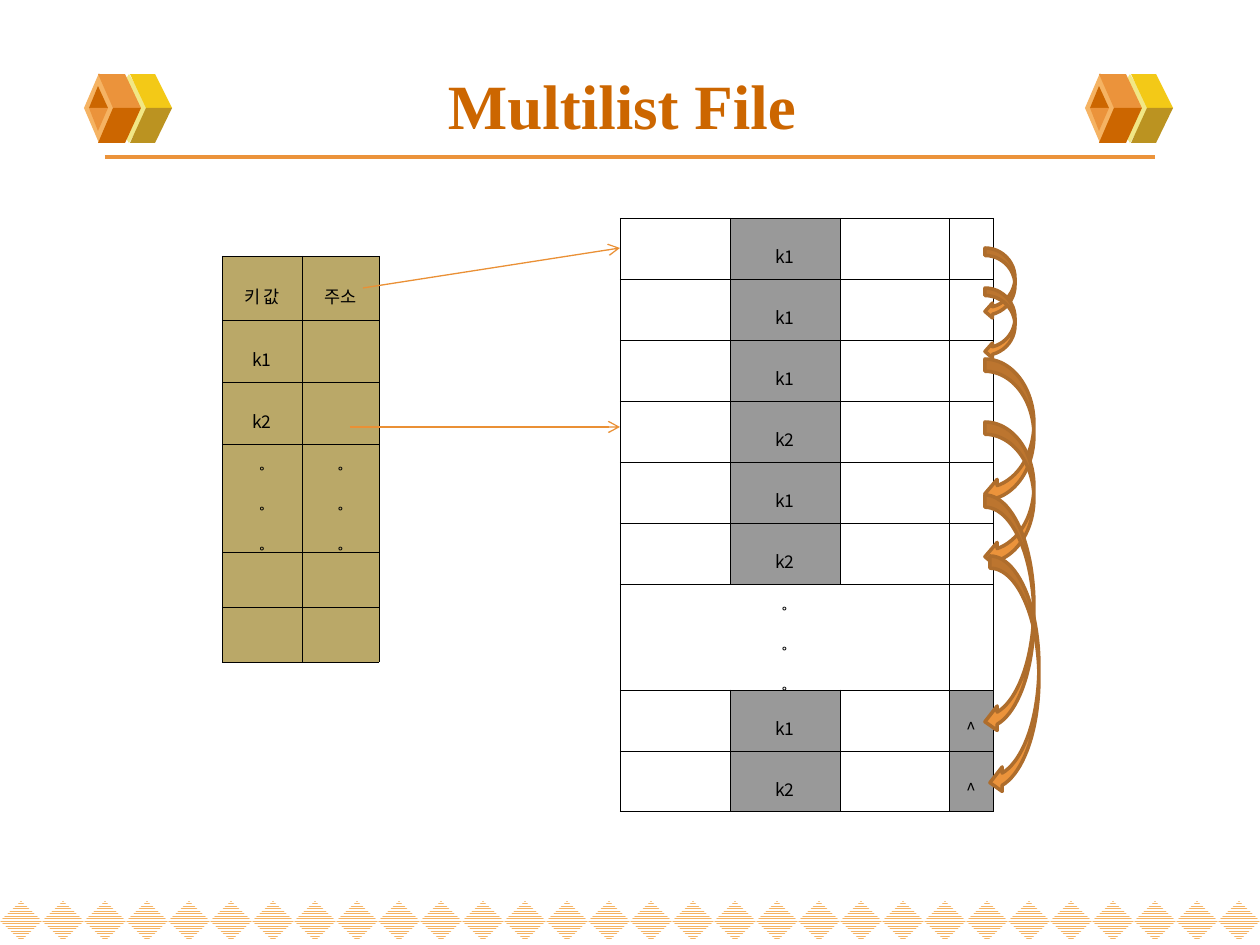
from lxml.etree import SubElement
from pptx import Presentation
from pptx.dml.color import RGBColor
from pptx.enum.dml import MSO_PATTERN
from pptx.enum.shapes import MSO_CONNECTOR, MSO_SHAPE
from pptx.enum.text import MSO_ANCHOR, PP_ALIGN
from pptx.oxml.ns import qn
from pptx.util import Pt

EMU_PER_PX = 914400 / 126
SLIDE_W, SLIDE_H = 1260, 945

BLACK = RGBColor(0x00, 0x00, 0x00)
WHITE = RGBColor(0xFF, 0xFF, 0xFF)
GRAY = RGBColor(0x99, 0x99, 0x99)
KHAKI = RGBColor(0xBA, 0xA8, 0x68)
ORANGE = RGBColor(0xEB, 0x93, 0x3B)
LINK_ORANGE = RGBColor(0xEA, 0x90, 0x35)
DARK_ORANGE = RGBColor(0xCC, 0x66, 0x00)
LIGHT_ORANGE = RGBColor(0xF5, 0xB3, 0x63)
BROWN = RGBColor(0xAE, 0x6D, 0x2C)
PALE_YELLOW = RGBColor(0xF1, 0xE7, 0x85)
YELLOW = RGBColor(0xF3, 0xC9, 0x17)
OLIVE = RGBColor(0xBB, 0x93, 0x21)

TITLE_FONT = "Times New Roman"
BODY_FONT = "Noto Sans CJK KR"
DOTS = "˚\n˚\n˚"


def px(length):
    return round(length * EMU_PER_PX)


def write_text(frame, text, *, font, size, color, bold=False, spacing=None):
    """Write one centred paragraph for each line of text."""
    for index, line in enumerate(text.split("\n")):
        paragraph = frame.add_paragraph() if index else frame.paragraphs[0]
        paragraph.alignment = PP_ALIGN.CENTER
        paragraph.line_spacing = spacing
        run = paragraph.add_run()
        run.text = line
        run.font.name = font
        run.font.size = Pt(size)
        run.font.bold = bold
        run.font.color.rgb = color
        SubElement(run.font._element, qn("a:ea"), typeface=font)


def add_preset(slide, kind, left, top, width, height, fill=None):
    shape = slide.shapes.add_shape(kind, px(left), px(top), px(width), px(height))
    shape.shadow.inherit = False
    shape.line.fill.background()
    if fill is not None:
        shape.fill.solid()
        shape.fill.fore_color.rgb = fill
    return shape


def add_polygon(slide, left, top, points, fill):
    corners = [(left + x, top + y) for x, y in points]
    builder = slide.shapes.build_freeform(*corners[0], scale=EMU_PER_PX)
    builder.add_line_segments(corners[1:], close=True)
    face = builder.convert_to_shape()
    face.shadow.inherit = False
    face.fill.solid()
    face.fill.fore_color.rgb = fill
    face.line.fill.background()


def add_line(slide, start, end, color, width, arrow=False):
    ends = [px(value) for value in (*start, *end)]
    line = slide.shapes.add_connector(MSO_CONNECTOR.STRAIGHT, *ends)
    line.line.color.rgb = color
    line.line.width = Pt(width)
    if arrow:
        SubElement(line.line._get_or_add_ln(), qn("a:tailEnd"), type="arrow")
    SubElement(line._element.spPr, qn("a:effectLst"))


def add_cube(slide, left, top):
    add_preset(slide, MSO_SHAPE.DIAMOND, left + 24, top + 1, 42, 69, PALE_YELLOW)
    add_preset(slide, MSO_SHAPE.DIAMOND, left, top, 30, 70, LIGHT_ORANGE)
    # Upper and lower faces mirror each other across the middle of the cube.
    for edge, tip, right_fill, front_fill, inner_fill in (
        (1, 13, YELLOW, ORANGE, DARK_ORANGE),
        (70, 58, OLIVE, DARK_ORANGE, ORANGE),
    ):
        add_polygon(slide, left, top, [(62, 35), (88, 35), (71, edge), (46, edge)], right_fill)
        add_polygon(slide, left, top, [(29, 35), (57, 35), (41, edge), (14, edge)], front_fill)
        add_polygon(slide, left, top, [(14, tip), (5, 35), (24, 35)], inner_fill)


def add_header(slide, left, top, width, height):
    add_line(slide, (left + 42, top + 101), (left + width - 42, top + 101), ORANGE, 2.25)
    for cube_left in (21, 1022):
        add_cube(slide, left + cube_left, top + 17)
    title = slide.shapes.add_textbox(px(left), px(top), px(width), px(height)).text_frame
    title.word_wrap = True
    title.vertical_anchor = MSO_ANCHOR.MIDDLE
    write_text(title, "Multilist File ", font=TITLE_FONT, size=36, color=DARK_ORANGE, bold=True)


def add_diamond_border(slide, left, top, width, height, count=30):
    step = width / count
    for index in range(count):
        diamond = add_preset(slide, MSO_SHAPE.DIAMOND, left + index * step, top, step, height)
        diamond.fill.patterned()
        diamond.fill.pattern = MSO_PATTERN.NARROW_HORIZONTAL
        diamond.fill.fore_color.rgb = LIGHT_ORANGE
        diamond.fill.back_color.rgb = WHITE


def format_cell(cell, text, fill):
    cell.margin_left = cell.margin_right = px(9)
    cell.margin_top = cell.margin_bottom = px(2)
    cell.vertical_anchor = MSO_ANCHOR.MIDDLE
    properties = cell._tc.get_or_add_tcPr()
    for side in ("lnL", "lnR", "lnT", "lnB"):
        border = SubElement(properties, qn(f"a:{side}"), w=str(Pt(0.28)))
        SubElement(SubElement(border, qn("a:solidFill")), qn("a:srgbClr"), val=str(BLACK))
    if fill is None:
        cell.fill.background()
    else:
        cell.fill.solid()
        cell.fill.fore_color.rgb = fill
    if text:
        write_text(cell.text_frame, text, font=BODY_FONT, size=10, color=BLACK, spacing=1.6)


def add_grid(slide, left, top, widths, heights, texts, fill_for):
    """Add a table whose cell fills come from fill_for(column, text)."""
    table = slide.shapes.add_table(
        len(heights), len(widths), px(left), px(top), px(sum(widths)), px(sum(heights))
    ).table
    table.first_row = table.horz_banding = False
    for column, width in zip(table.columns, widths):
        column.width = px(width)
    for row, height in zip(table.rows, heights):
        row.height = px(height)
    for row_index, row_texts in enumerate(texts):
        for column_index, text in enumerate(row_texts):
            format_cell(table.cell(row_index, column_index), text, fill_for(column_index, text))
    return table


def add_index(slide, left, top):
    texts = [("키 값", "주소"), ("k1", ""), ("k2", ""), (DOTS, DOTS), ("", ""), ("", "")]
    add_grid(slide, left, top, [80, 77], [64, 62, 62, 108, 55, 55], texts,
             lambda column, text: KHAKI)


def add_records(slide, left, top):
    keys = ["k1", "k1", "k1", "k2", "k1", "k2"]
    texts = [("", key, "", "") for key in keys]
    texts.append((DOTS, "", "", ""))
    texts += [("", key, "", "^") for key in ("k1", "k2")]
    heights = [61] * 6 + [106] + [61] * 2
    table = add_grid(slide, left, top, [110, 110, 109, 44], heights, texts,
                     lambda column, text: GRAY if column and text else None)
    table.cell(6, 0).merge(table.cell(6, 2))


def add_chain_arrows(slide, left, top):
    """Link each record to the next one with the same key."""
    for x, y, width, height in (
        (0, 0, 30, 71), (0, 40, 30, 71),
        (0, 111, 49, 147), (0, 174, 49, 147),
        (0, 247, 49, 239), (5, 308, 49, 239),
    ):
        arrow = add_preset(slide, MSO_SHAPE.CURVED_LEFT_ARROW,
                           left + x, top + y, width, height, ORANGE)
        arrow.line.color.rgb = BROWN
        arrow.line.width = Pt(2)


def main():
    presentation = Presentation()
    presentation.slide_width, presentation.slide_height = px(SLIDE_W), px(SLIDE_H)
    slide = presentation.slides.add_slide(presentation.slide_layouts[6])
    add_diamond_border(slide, 0, 901, SLIDE_W, 40)
    add_header(slide, 63, 56, 1134, 96)
    add_index(slide, 222, 256)
    add_records(slide, 620, 218)
    add_line(slide, (363, 288), (620, 248), LINK_ORANGE, 0.75, arrow=True)
    add_line(slide, (350, 427), (620, 427), LINK_ORANGE, 0.75, arrow=True)
    add_chain_arrows(slide, 985, 248)
    presentation.save("out.pptx")


if __name__ == "__main__":
    main()
